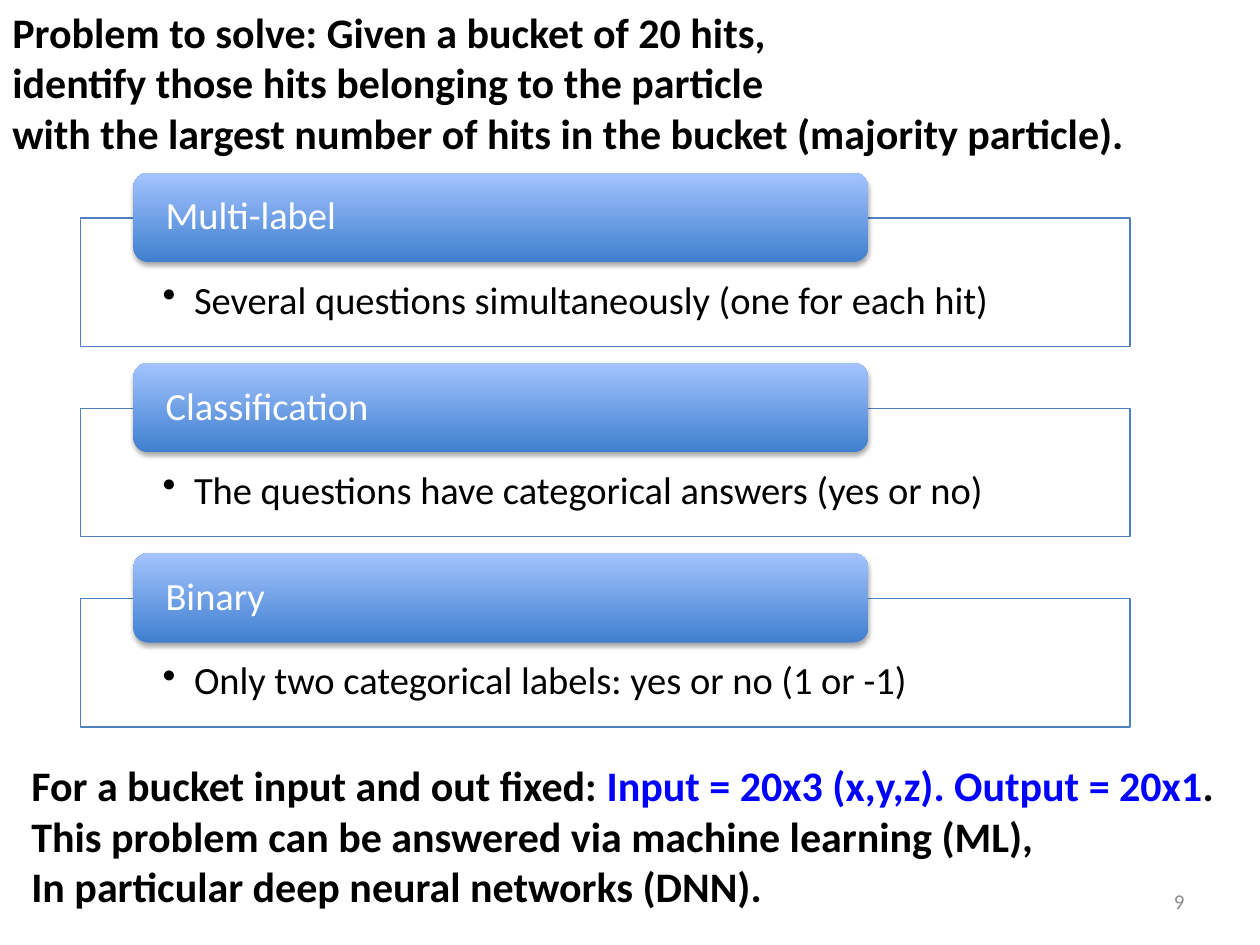
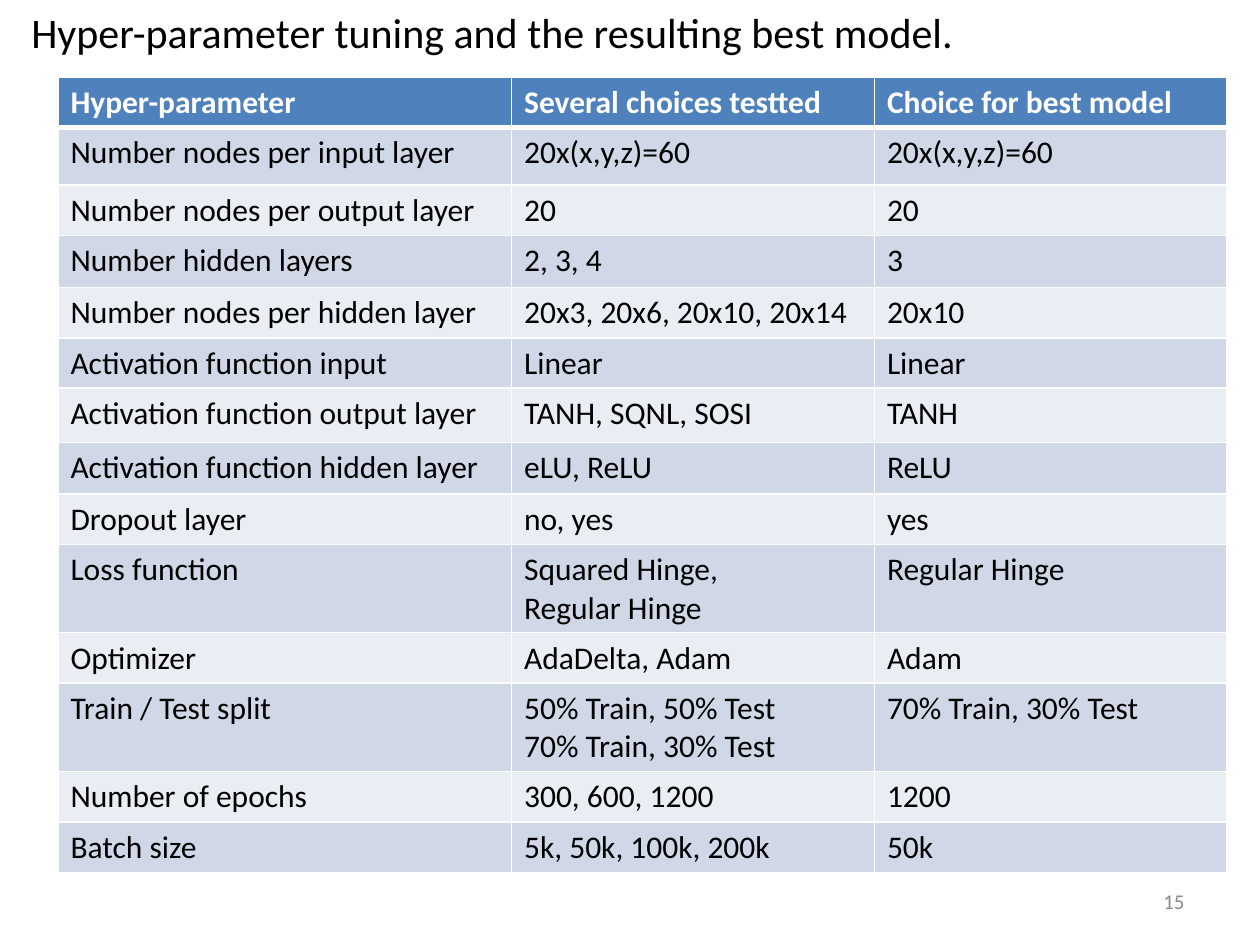
from lxml import etree
from pptx import Presentation
from pptx.dml.color import RGBColor
from pptx.enum.shapes import MSO_SHAPE
from pptx.enum.text import MSO_ANCHOR, PP_ALIGN
from pptx.oxml.ns import qn
from pptx.util import Inches, Pt

RECTANGLE, ROUNDED = MSO_SHAPE.RECTANGLE, MSO_SHAPE.ROUNDED_RECTANGLE
TOP, MIDDLE = MSO_ANCHOR.TOP, MSO_ANCHOR.MIDDLE
LEFT, RIGHT = PP_ALIGN.LEFT, PP_ALIGN.RIGHT

BLACK = RGBColor(0x00, 0x00, 0x00)
WHITE = RGBColor(0xFF, 0xFF, 0xFF)
GREY = RGBColor(0x8C, 0x8C, 0x8C)
HIGHLIGHT = RGBColor(0x00, 0x00, 0xFF)
ACCENT = RGBColor(0x4F, 0x81, 0xBD)
LABEL_BOTTOM = RGBColor(0x3F, 0x7F, 0xCE)
LABEL_TOP = RGBColor(0xA4, 0xC4, 0xFF)
ROW_DARK = RGBColor(0xD0, 0xD8, 0xE8)
ROW_LIGHT = RGBColor(0xE9, 0xED, 0xF4)
FONT = "Calibri"


def style(paragraph, size, color, bold=False, align=LEFT):
    paragraph.alignment = align
    font = paragraph.font
    font.name, font.size, font.bold = FONT, Pt(size), bold
    font.color.rgb = color


def add_text(page, place, lines, size=24, color=BLACK, bold=False, align=LEFT, anchor=TOP):
    """Add a text box with one paragraph per line; a line is a list of (text, color) spans."""
    box = page.shapes.add_textbox(*(Inches(value) for value in place))
    frame = box.text_frame
    frame.word_wrap = True
    frame.vertical_anchor = anchor
    for index, line in enumerate(lines):
        para = frame.paragraphs[0] if index == 0 else frame.add_paragraph()
        for text, span_color in line:
            span = para.add_run()
            span.text = text
            if span_color != color:
                span.font.color.rgb = span_color
        style(para, size, color, bold, align)


deck = Presentation()
deck.slide_width, deck.slide_height = Inches(10), Inches(7.5)
blank = deck.slide_layouts[6]
problem_page = deck.slides.add_slide(blank)
tuning_page = deck.slides.add_slide(blank)

# Problem statement
add_text(problem_page, (0.15, 5.98, 9.85, 1.31), [
    [("For a bucket input and out fixed: ", BLACK),
     ("Input = 20x3 (x,y,z). Output = 20x1", HIGHLIGHT),
     (".", BLACK)],
    [("This problem can be answered via machine learning (ML),", BLACK)],
    [("In particular deep neural networks (DNN).", BLACK)],
], bold=True)
add_text(problem_page, (0, 0, 9.56, 1.31), [
    [("Problem to solve: Given a bucket of 20 hits,", BLACK)],
    [("identify those hits belonging to the particle", BLACK)],
    [("with the largest number of hits in the bucket (majority particle).", BLACK)],
], bold=True)

PROPERTIES = [
    ("Multi-label", "Several questions simultaneously (one for each hit)"),
    ("Classification", "The questions have categorical answers (yes or no)"),
    ("Binary", "Only two categorical labels: yes or no (1 or -1)"),
]
LABEL_START, PROPERTY_STEP, PANEL_OFFSET = 1.37, 1.51, 0.36

for index, (name, meaning) in enumerate(PROPERTIES):
    top = LABEL_START + index * PROPERTY_STEP
    panel = problem_page.shapes.add_shape(
        RECTANGLE, Inches(0.64), Inches(top + PANEL_OFFSET), Inches(8.33), Inches(1.02))
    panel.fill.solid()
    panel.fill.fore_color.rgb = WHITE
    panel.line.color.rgb = ACCENT
    panel.line.width = Pt(0.75)

    label = problem_page.shapes.add_shape(
        ROUNDED, Inches(1.06), Inches(top), Inches(5.83), Inches(0.71))
    label.fill.gradient()
    label.fill.gradient_angle = 90
    for stop, color in zip(label.fill.gradient_stops, (LABEL_BOTTOM, LABEL_TOP)):
        stop.color.rgb = color
    label.line.fill.background()

    for shape, text, color, anchor, insets in (
        (panel, meaning, BLACK, TOP, (0.65, 0.5, 0.65, 0.17)),
        (label, name, WHITE, MIDDLE, (0.22, 0, 0.22, 0)),
    ):
        shape.shadow.inherit = False
        frame = shape.text_frame
        frame.word_wrap = True
        frame.vertical_anchor = anchor
        (frame.margin_left, frame.margin_top,
         frame.margin_right, frame.margin_bottom) = (Inches(inset) for inset in insets)
        para = frame.paragraphs[0]
        para.text = text
        para.line_spacing = 0.9
        if shape is panel:
            properties = para._p.get_or_add_pPr()
            properties.set("marL", str(Inches(0.25)))
            properties.set("indent", str(-Inches(0.25)))
            etree.SubElement(properties, qn("a:buChar"), char="•")
        style(para, 22, color)

    effects = label._element.spPr.find(qn("a:effectLst"))
    shadow = etree.SubElement(
        effects, qn("a:outerShdw"), blurRad=str(Pt(3.1)), dist=str(Pt(1.8)),
        dir="5400000", rotWithShape="0")
    shadow_color = etree.SubElement(shadow, qn("a:srgbClr"), val=str(BLACK))
    etree.SubElement(shadow_color, qn("a:alpha"), val="35000")

# Hyper-parameter tuning
add_text(tuning_page, (0.15, 0, 9.85, 0.5),
         [[("Hyper-parameter tuning and the resulting best model.", BLACK)]])

COLUMN_WIDTHS = (3.6, 2.88, 2.8)
TUNING_ROWS = [
    (0.4, "Hyper-parameter", "Several choices testted", "Choice for best model"),
    (0.46, "Number nodes per input layer", "20x(x,y,z)=60", "20x(x,y,z)=60"),
    (0.4, "Number nodes per output layer", "20", "20"),
    (0.41, "Number hidden layers", "2, 3, 4", "3"),
    (0.4, "Number nodes per hidden layer", "20x3, 20x6, 20x10, 20x14", "20x10"),
    (0.4, "Activation function input", "Linear", "Linear"),
    (0.43, "Activation function output layer", "TANH, SQNL, SOSI", "TANH"),
    (0.41, "Activation function hidden layer", "eLU, ReLU", "ReLU"),
    (0.4, "Dropout layer", "no, yes", "yes"),
    (0.7, "Loss function", "Squared Hinge,\nRegular Hinge", "Regular Hinge"),
    (0.4, "Optimizer", "AdaDelta, Adam", "Adam"),
    (0.7, "Train / Test split", "50% Train, 50% Test\n70% Train, 30% Test",
     "70% Train, 30% Test"),
    (0.4, "Number of epochs", "300, 600, 1200", "1200"),
    (0.4, "Batch size", "5k, 50k, 100k, 200k", "50k"),
]
table = tuning_page.shapes.add_table(
    len(TUNING_ROWS), len(COLUMN_WIDTHS),
    Inches(0.46), Inches(0.61), Inches(9.28), Inches(6.31)).table
for column, width in zip(table.columns, COLUMN_WIDTHS):
    column.width = Inches(width)

for row, (height, *texts) in enumerate(TUNING_ROWS):
    table.rows[row].height = Inches(height)
    is_header = row == 0
    fill = ACCENT if is_header else (ROW_DARK if row % 2 else ROW_LIGHT)
    border_widths = {"lnL": 1, "lnR": 1, "lnT": 3 if row == 1 else 1, "lnB": 3 if is_header else 1}
    for column, text in enumerate(texts):
        cell = table.cell(row, column)
        cell.text = text
        for para in cell.text_frame.paragraphs:
            style(para, 18, WHITE if is_header else BLACK, bold=is_header)
        cell.fill.solid()
        cell.fill.fore_color.rgb = fill
        cell_properties = cell._tc.get_or_add_tcPr()
        for position, (side, width) in enumerate(border_widths.items()):
            border = etree.Element(qn("a:" + side), w=str(Pt(width)))
            border_fill = etree.SubElement(border, qn("a:solidFill"))
            etree.SubElement(border_fill, qn("a:srgbClr"), val=str(WHITE))
            cell_properties.insert(position, border)

for page, number in ((problem_page, "9"), (tuning_page, "15")):
    add_text(page, (7.17, 6.95, 2.33, 0.4), [[(number, GREY)]],
             size=12, color=GREY, align=RIGHT, anchor=MIDDLE)

deck.save("out.pptx")
